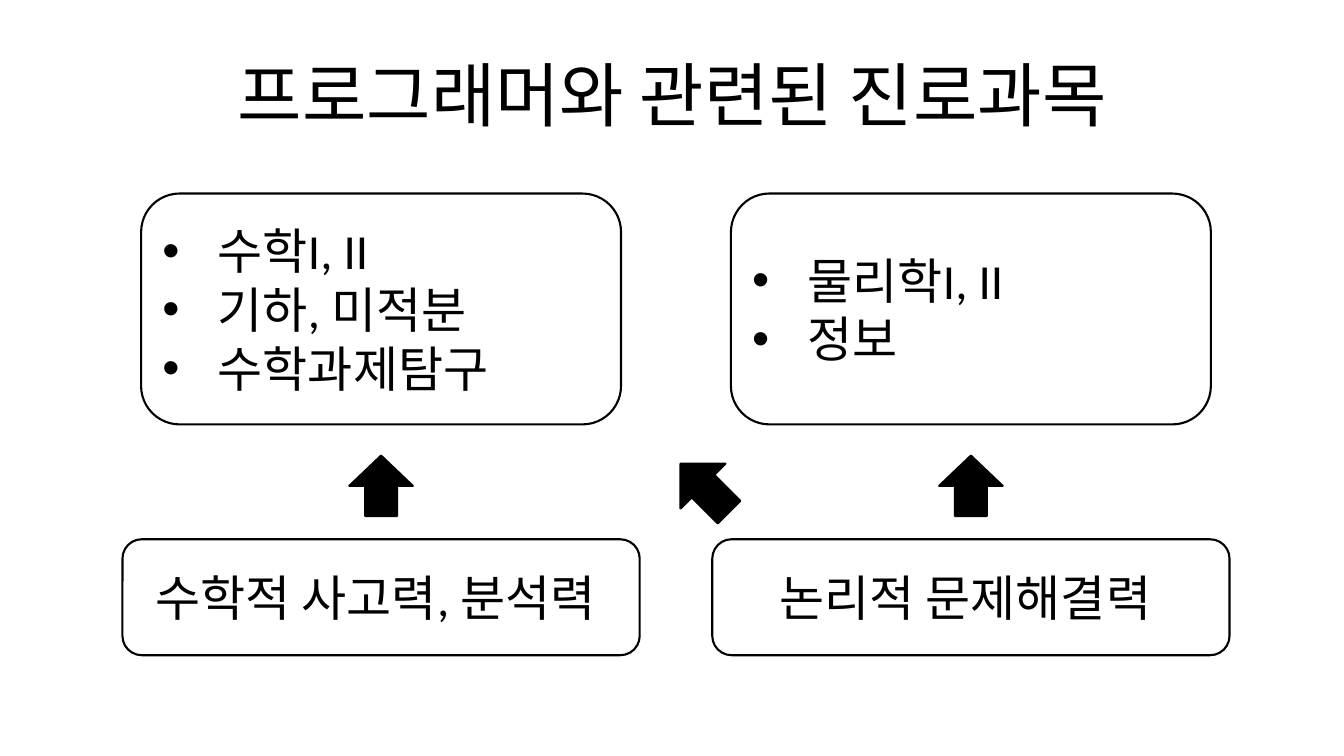
import pptx
import pptx.util
import pptx.dml.color
import pptx.enum.shapes
import pptx.enum.text
import pptx.oxml
import pptx.oxml.ns
from pptx.util import Inches

# Content
TITLE = "프로그래머와 관련된 진로과목"
COLUMNS = [
    {"center": 3.78, "subjects": ["수학I, II", "기하, 미적분", "수학과제탐구"],
     "skill": "수학적 사고력, 분석력 "},
    {"center": 9.63, "subjects": ["물리학I, II", "정보"],
     "skill": "논리적 문제해결력 "},
]

# Style and layout, in inches
FONT, BLACK, WHITE = "Calibri", "000000", "FFFFFF"
SUBJECT_TOP, SUBJECT_SIZE = 1.92, (4.76, 2.29)
SKILL_TOP, SKILL_SIZE = 5.35, (5.13, 1.15)
UP_ARROW_CENTER, UP_ARROW_SIZE = 4.82, (0.6, 0.63)
DIAGONAL_CENTER, DIAGONAL_SIZE = (6.99, 4.84), (0.68, 0.63)
BULLET_INDENT = 0.55

ALIGN = pptx.enum.text.PP_ALIGN
MIDDLE = pptx.enum.text.MSO_ANCHOR.MIDDLE
SHAPES = pptx.enum.shapes.MSO_SHAPE


def color(value):
    return pptx.dml.color.RGBColor.from_string(value)


def add_text(paragraph, text, size, alignment):
    paragraph.alignment = alignment
    run = paragraph.add_run()
    run.text = text
    run.font.name = FONT
    run.font.size = pptx.util.Pt(size)
    run.font.color.rgb = color(BLACK)


def add_bullet(paragraph):
    properties = paragraph._p.get_or_add_pPr()
    properties.set("marL", str(Inches(BULLET_INDENT)))
    properties.set("indent", str(-Inches(BULLET_INDENT)))
    namespace = pptx.oxml.ns.nsdecls("a")
    for xml in (f'<a:buFont {namespace} typeface="Arial"/>',
                f'<a:buChar {namespace} char="•"/>'):
        properties.append(pptx.oxml.parse_xml(xml))


def add_centered_shape(kind, center_x, center_y, size, fill):
    width, height = size
    shape = slide.shapes.add_shape(
        kind, Inches(center_x - width / 2), Inches(center_y - height / 2),
        Inches(width), Inches(height))
    shape.shadow.inherit = False
    shape.fill.solid()
    shape.fill.fore_color.rgb = color(fill)
    shape.line.color.rgb = color(BLACK)
    shape.line.width = pptx.util.Pt(1.5)
    return shape


def add_box(center_x, top, size, lines, bulleted):
    shape = add_centered_shape(SHAPES.ROUNDED_RECTANGLE, center_x,
                               top + size[1] / 2, size, WHITE)
    frame = shape.text_frame
    frame.word_wrap = True
    frame.vertical_anchor = MIDDLE
    for index, line in enumerate(lines):
        paragraph = frame.add_paragraph() if index else frame.paragraphs[0]
        add_text(paragraph, line, 35, ALIGN.LEFT if bulleted else ALIGN.CENTER)
        if bulleted:
            add_bullet(paragraph)


def add_arrow(center_x, center_y, size, rotation):
    arrow = add_centered_shape(SHAPES.RIGHT_ARROW, center_x, center_y, size, BLACK)
    arrow.rotation = rotation


presentation = pptx.Presentation()
presentation.slide_width = Inches(13.33)
presentation.slide_height = Inches(7.5)
slide = presentation.slides.add_slide(presentation.slide_layouts[5])

# Title
title = slide.shapes.title
title.left, title.top = Inches(0.67), Inches(0.3)
title.width, title.height = Inches(12), Inches(1.25)
title.text_frame.vertical_anchor = MIDDLE
add_text(title.text_frame.paragraphs[0], TITLE, 50, ALIGN.CENTER)

# Each skill leads up to its subjects
for column in COLUMNS:
    center = column["center"]
    add_box(center, SUBJECT_TOP, SUBJECT_SIZE, column["subjects"], True)
    add_box(center, SKILL_TOP, SKILL_SIZE, [column["skill"]], False)
    add_arrow(center, UP_ARROW_CENTER, UP_ARROW_SIZE, 270)

# Logic also leads to the mathematics subjects
add_arrow(*DIAGONAL_CENTER, DIAGONAL_SIZE, 225)

presentation.save("out.pptx")
